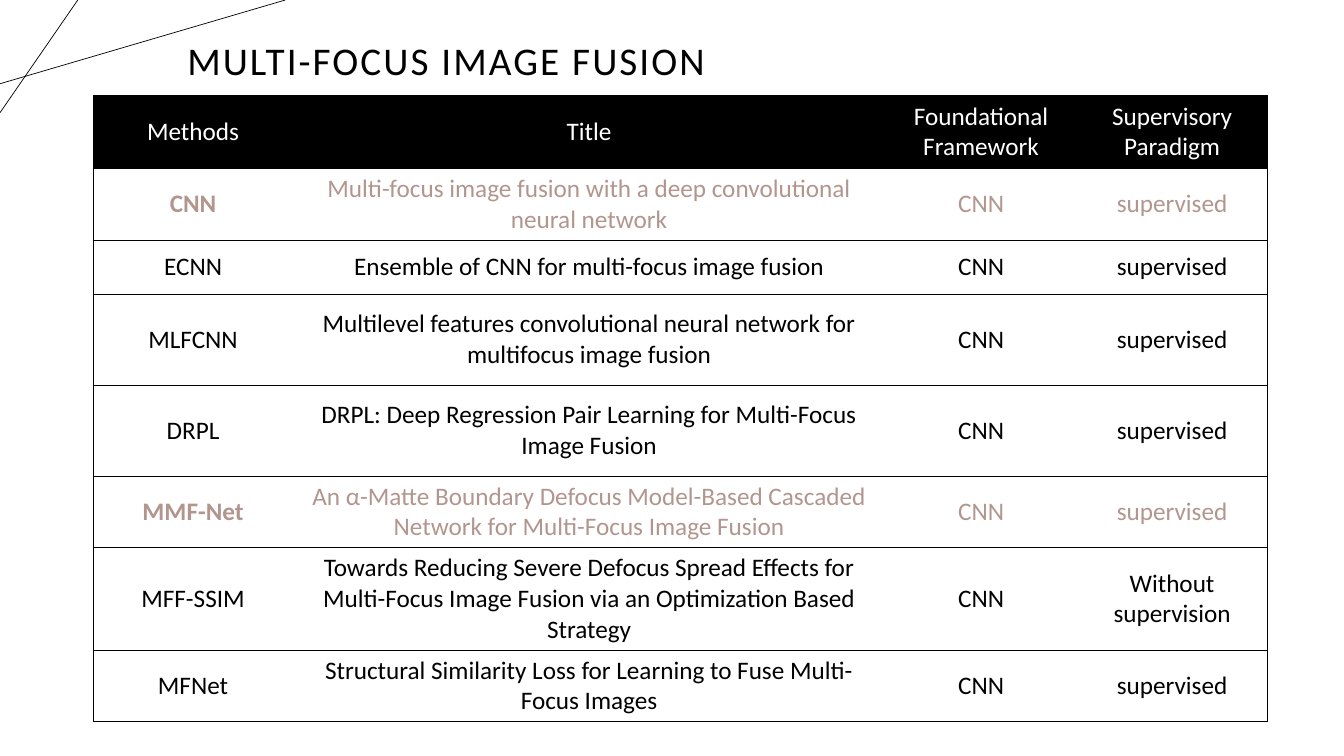
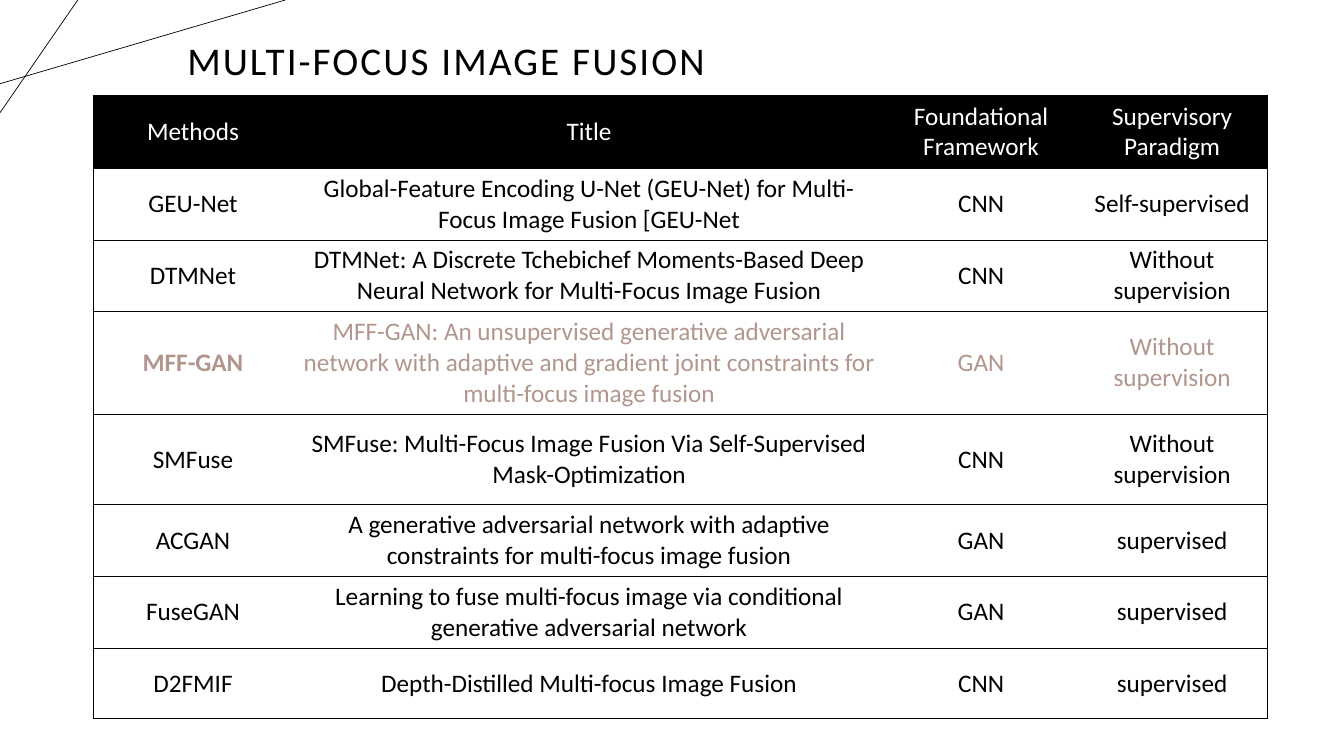
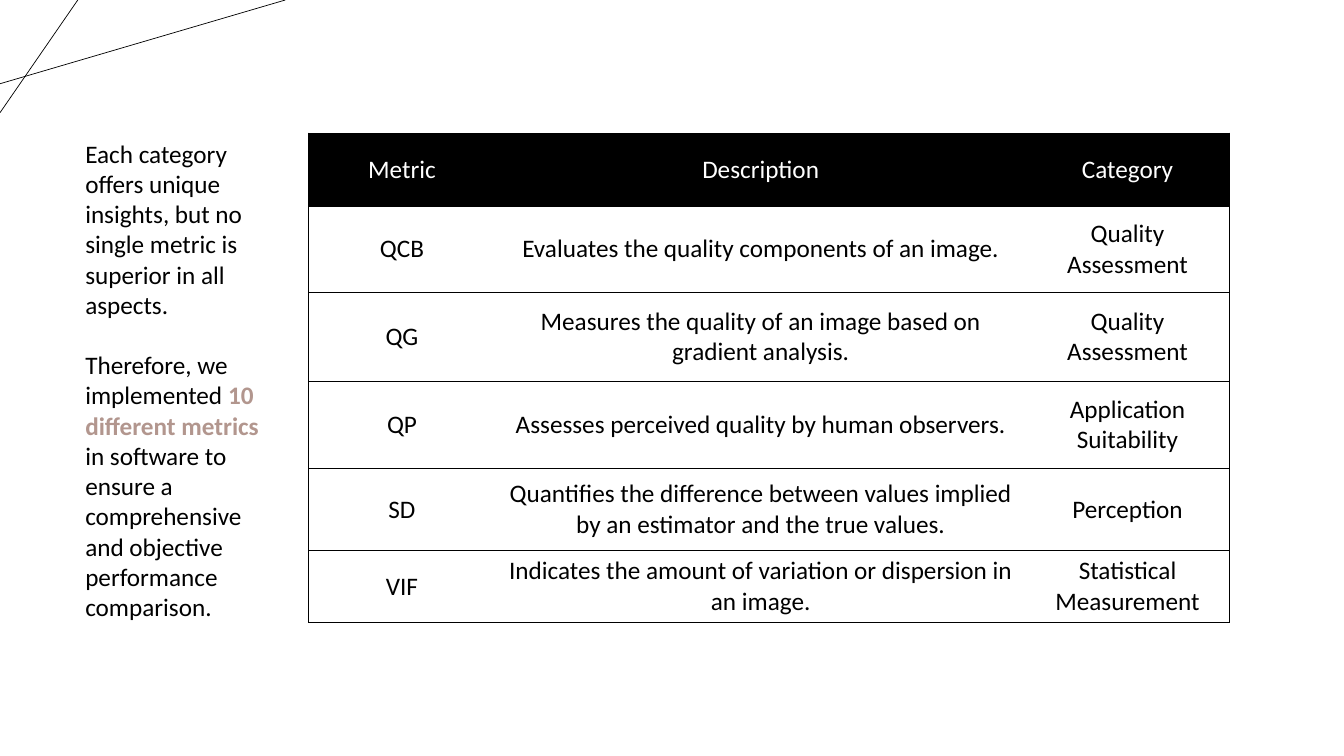
from dataclasses import dataclass

import lxml.etree
import pptx
import pptx.dml.color
import pptx.enum.shapes
import pptx.enum.text
import pptx.oxml.ns
import pptx.util

Cm = pptx.util.Cm
Pt = pptx.util.Pt
qn = pptx.oxml.ns.qn


@dataclass(frozen=True)
class Theme:
    font: str = "Calibri"
    ink: str = "000000"
    paper: str = "FFFFFF"
    accent: str = "B2968E"
    title_size: float = 28
    body_size: float = 18
    title_tracking: float = 1.5
    rule_width: float = 0.5


@dataclass(frozen=True)
class Row:
    cells: tuple[str, ...]
    height: float
    highlighted: bool = False


@dataclass(frozen=True)
class Grid:
    """A ruled table; all lengths are in centimetres."""
    left: float
    top: float
    widths: tuple[float, ...]
    rows: tuple[Row, ...]


@dataclass(frozen=True)
class Stroke:
    start: tuple[float, float]
    end: tuple[float, float]


THEME = Theme()
SLIDE_SIZE = (33.87, 19.05)
CORNER_STROKES = (Stroke((0, 2.11), (7.19, 0)), Stroke((1.96, 0), (0, 2.84)))

FUSION_TITLE = "MULTI-FOCUS IMAGE FUSION"
METHOD_HEADER = ("Methods", "Title", "Foundational Framework", "Supervisory Paradigm")
METHOD_WIDTHS = (5.05, 14.91, 4.85, 4.78)
METHOD_HEIGHTS = (1.83, 1.78, 1.37, 2.29, 2.29, 1.78, 1.78, 1.78)
HIGHLIGHTED_METHODS = {"CNN", "MMF-Net", "MFF-GAN"}

EARLY_METHODS = (
    ("CNN", "Multi-focus image fusion with a deep convolutional neural network",
     "CNN", "supervised"),
    ("ECNN", "Ensemble of CNN for multi-focus image fusion", "CNN", "supervised"),
    ("MLFCNN", "Multilevel features convolutional neural network for multifocus image fusion",
     "CNN", "supervised"),
    ("DRPL", "DRPL: Deep Regression Pair Learning for Multi-Focus Image Fusion",
     "CNN", "supervised"),
    ("MMF-Net", "An α-Matte Boundary Defocus Model-Based Cascaded Network for "
     "Multi-Focus Image Fusion", "CNN", "supervised"),
    ("MFF-SSIM", "Towards Reducing Severe Defocus Spread Effects for Multi-Focus "
     "Image Fusion via an Optimization Based Strategy", "CNN", "Without supervision"),
    ("MFNet", "Structural Similarity Loss for Learning to Fuse Multi-Focus Images",
     "CNN", "supervised"),
)

LATER_METHODS = (
    ("GEU-Net", "Global-Feature Encoding U-Net (GEU-Net) for Multi-Focus Image "
     "Fusion [GEU-Net", "CNN", "Self-supervised"),
    ("DTMNet", "DTMNet: A Discrete Tchebichef Moments-Based Deep Neural Network "
     "for Multi-Focus Image Fusion", "CNN", "Without supervision"),
    ("MFF-GAN", "MFF-GAN: An unsupervised generative adversarial network with adaptive "
     "and gradient joint constraints for multi-focus image fusion",
     "GAN", "Without supervision"),
    ("SMFuse", "SMFuse: Multi-Focus Image Fusion Via Self-Supervised Mask-Optimization",
     "CNN", "Without supervision"),
    ("ACGAN", "A generative adversarial network with adaptive constraints for "
     "multi-focus image fusion", "GAN", "supervised"),
    ("FuseGAN", "Learning to fuse multi-focus image via conditional generative "
     "adversarial network", "GAN", "supervised"),
    ("D2FMIF", "Depth-Distilled Multi-focus Image Fusion", "CNN", "supervised"),
)

METRICS = Grid(7.77, 3.35, (4.72, 13.36, 5.13), (
    Row(("Metric", "Description", "Category"), 1.85),
    Row(("QCB", "Evaluates the quality components of an image.",
         "Quality Assessment"), 2.16),
    Row(("QG", "Measures the quality of an image based on gradient analysis.",
         "Quality Assessment"), 2.26),
    Row(("QP", "Assesses perceived quality by human observers.",
         "Application Suitability"), 2.18),
    Row(("SD", "Quantifies the difference between values implied by an estimator "
         "and the true values.", "Perception"), 2.08),
    Row(("VIF", "Indicates the amount of variation or dispersion in an image.",
         "Statistical Measurement"), 1.8),
))

# Each paragraph is a list of (text, emphasised) runs.
METRIC_REMARKS = (
    (("Each category offers unique insights, but no single metric is superior "
      "in all aspects.", False),),
    (("Therefore, we implemented ", False), ("10 different metrics", True),
     (" in software to ensure a comprehensive and objective performance comparison.", False)),
)


def rgb(colour: str) -> pptx.dml.color.RGBColor:
    return pptx.dml.color.RGBColor.from_string(colour)


def add_run(paragraph, text: str, colour: str = THEME.ink,
            size: float = THEME.body_size, bold: bool = False):
    run = paragraph.add_run()
    run.text = text
    run.font.name = THEME.font
    run.font.size = Pt(size)
    run.font.bold = bold
    run.font.color.rgb = rgb(colour)
    return run


def new_slide(deck):
    """Add a blank slide with the crossing lines in its top left corner."""
    slide = deck.slides.add_slide(deck.slide_layouts[6])
    slide.background.fill.solid()
    slide.background.fill.fore_color.rgb = rgb(THEME.paper)
    for stroke in CORNER_STROKES:
        line = slide.shapes.add_connector(
            pptx.enum.shapes.MSO_CONNECTOR.STRAIGHT,
            *map(Cm, stroke.start + stroke.end))
        line.line.color.rgb = rgb(THEME.ink)
        line.line.width = Pt(THEME.rule_width)
        lxml.etree.SubElement(line._element.spPr, qn("a:effectLst"))
    return slide


def add_text_frame(slide, left: float, top: float, width: float, height: float):
    frame = slide.shapes.add_textbox(*map(Cm, (left, top, width, height))).text_frame
    frame.word_wrap = True
    return frame


def add_title(slide, text: str) -> None:
    frame = add_text_frame(slide, 4.47, -0.61, 20.24, 2.84)
    frame.vertical_anchor = pptx.enum.text.MSO_ANCHOR.BOTTOM
    heading = frame.paragraphs[0]
    heading.line_spacing = 0.9
    run = add_run(heading, text, size=THEME.title_size)
    run.font._element.set("spc", str(round(THEME.title_tracking * 100)))


def set_borders(cell, ruled_sides: set[str]) -> None:
    """Rule the named sides (L, R, T, B) and clear the others."""
    properties = cell._tc.get_or_add_tcPr()
    for side in "LRTB":
        border = lxml.etree.SubElement(properties, qn(f"a:ln{side}"),
                                       w=str(Pt(THEME.rule_width)))
        if side in ruled_sides:
            fill = lxml.etree.SubElement(border, qn("a:solidFill"))
            lxml.etree.SubElement(fill, qn("a:srgbClr"), val=THEME.ink)
        else:
            lxml.etree.SubElement(border, qn("a:noFill"))


def fill_cell(cell, text: str, colour: str, bold: bool, is_header: bool) -> None:
    if is_header:
        cell.fill.solid()
        cell.fill.fore_color.rgb = rgb(THEME.ink)
    else:
        cell.fill.background()
    cell.vertical_anchor = pptx.enum.text.MSO_ANCHOR.MIDDLE
    paragraph = cell.text_frame.paragraphs[0]
    paragraph.alignment = pptx.enum.text.PP_ALIGN.CENTER
    add_run(paragraph, text, colour, bold=bold)


def add_grid(slide, grid: Grid) -> None:
    table = slide.shapes.add_table(
        len(grid.rows), len(grid.widths), Cm(grid.left), Cm(grid.top),
        Cm(sum(grid.widths)), Cm(sum(row.height for row in grid.rows))).table
    table.horz_banding = False
    for column, width in zip(table.columns, grid.widths):
        column.width = Cm(width)
    last_column = len(grid.widths) - 1
    for row_index, row in enumerate(grid.rows):
        table.rows[row_index].height = Cm(row.height)
        is_header = row_index == 0
        colour = THEME.accent if row.highlighted else THEME.ink
        for column_index, text in enumerate(row.cells):
            cell = table.cell(row_index, column_index)
            sides = {"T", "B"}
            if column_index == 0:
                sides.add("L")
            if column_index == last_column:
                sides.add("R")
            set_borders(cell, sides)
            fill_cell(cell, text, THEME.paper if is_header else colour,
                      row.highlighted and column_index == 0, is_header)


def add_methods_slide(deck, methods: tuple[tuple[str, ...], ...]) -> None:
    slide = new_slide(deck)
    rows = tuple(Row(cells, height, cells[0] in HIGHLIGHTED_METHODS)
                 for cells, height in zip((METHOD_HEADER, *methods), METHOD_HEIGHTS))
    add_grid(slide, Grid(2.34, 2.41, METHOD_WIDTHS, rows))
    add_title(slide, FUSION_TITLE)


def add_metrics_slide(deck) -> None:
    slide = new_slide(deck)
    frame = add_text_frame(slide, 1.9, 3.35, 5.36, 12.57)
    frame.auto_size = pptx.enum.text.MSO_AUTO_SIZE.SHAPE_TO_FIT_TEXT
    for index, remark in enumerate(METRIC_REMARKS):
        paragraph = frame.add_paragraph() if index else frame.paragraphs[0]
        if index:
            paragraph.space_before = Pt(THEME.body_size * 1.2)
        for text, emphasised in remark:
            add_run(paragraph, text, THEME.accent if emphasised else THEME.ink,
                    bold=emphasised)
    add_grid(slide, METRICS)


def main() -> None:
    deck = pptx.Presentation()
    deck.slide_width, deck.slide_height = map(Cm, SLIDE_SIZE)
    add_methods_slide(deck, EARLY_METHODS)
    add_methods_slide(deck, LATER_METHODS)
    add_metrics_slide(deck)
    deck.save("out.pptx")


if __name__ == "__main__":
    main()
